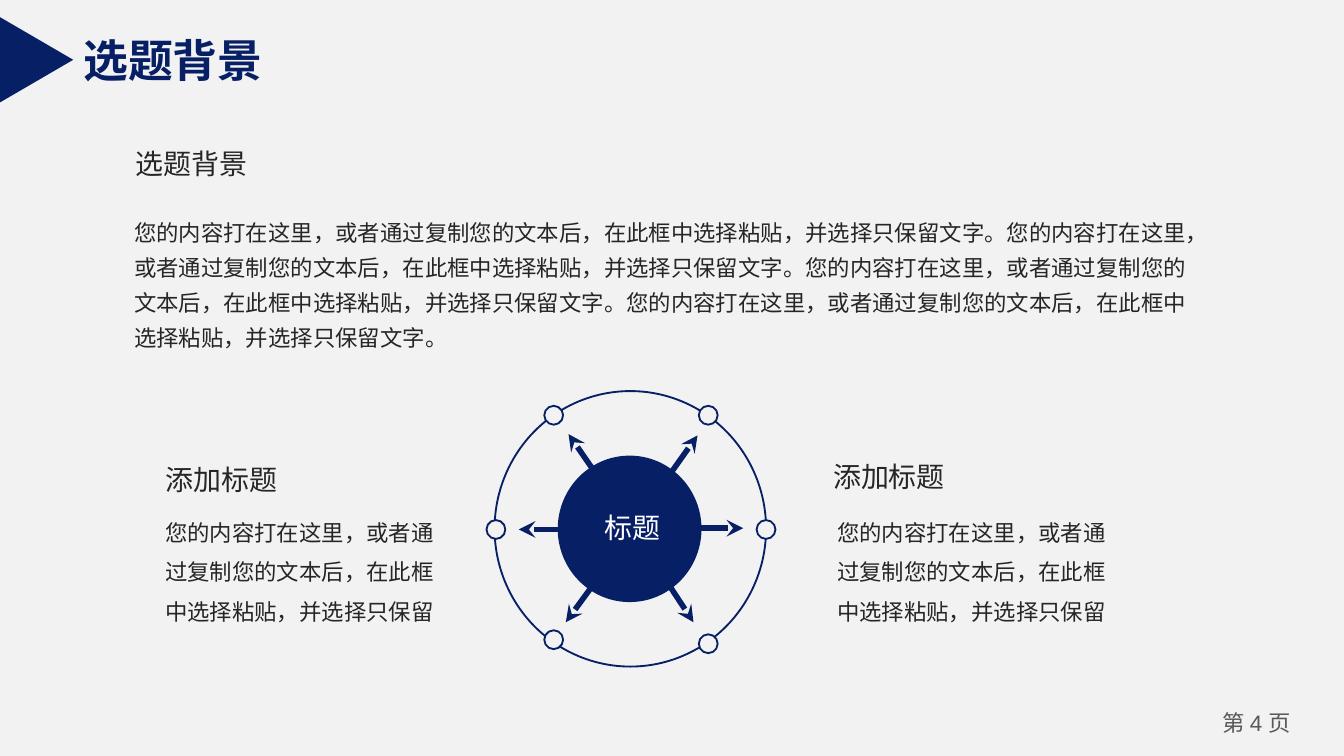
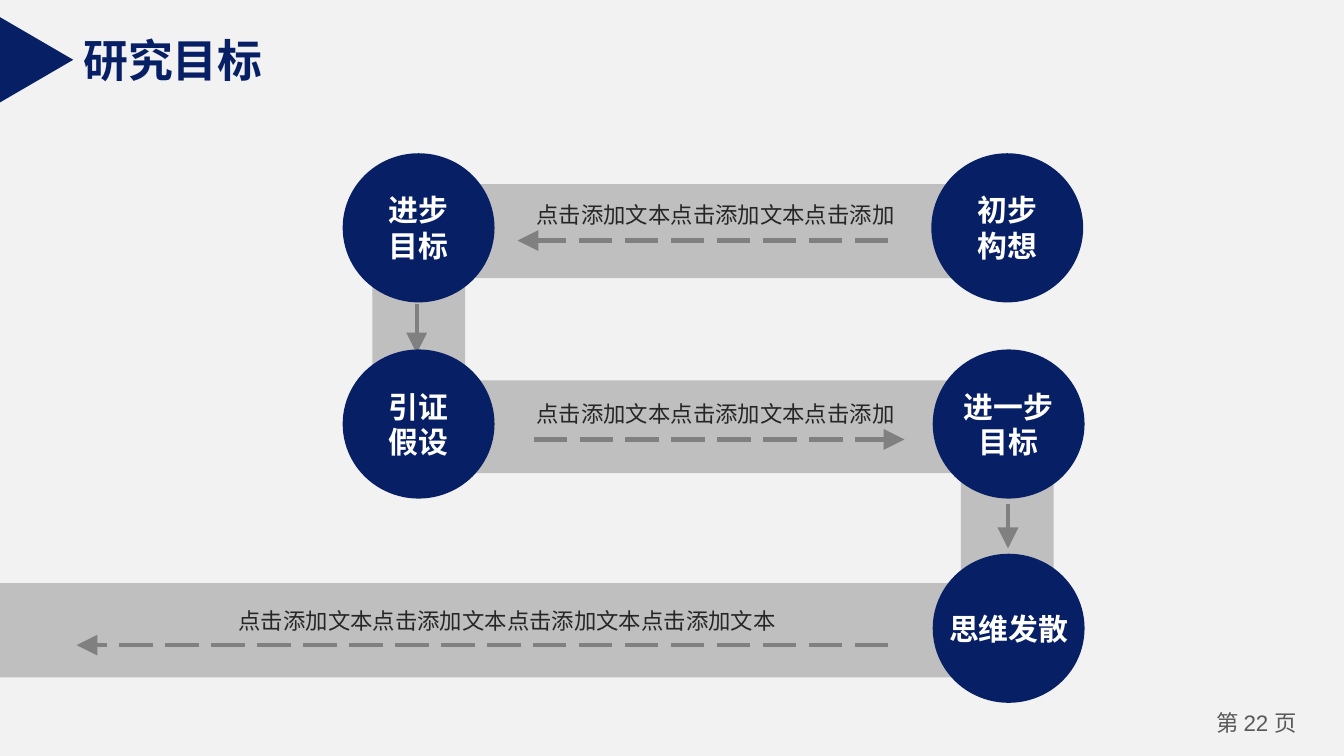
import dataclasses

import lxml.etree
import pptx
import pptx.dml.color
import pptx.enum.dml
import pptx.enum.shapes
import pptx.enum.text
import pptx.oxml.ns
import pptx.util

RGB = pptx.dml.color.RGBColor.from_string
PRESET = pptx.enum.shapes.MSO_SHAPE
ALIGN = pptx.enum.text.PP_ALIGN
ANCHOR = pptx.enum.text.MSO_ANCHOR
DASH = pptx.enum.dml.MSO_LINE
qn = pptx.oxml.ns.qn


@dataclasses.dataclass(frozen=True)
class Theme:
    paper: RGB = RGB("F2F2F2")
    navy: RGB = RGB("071F65")
    band: RGB = RGB("BFBFBF")
    arrow: RGB = RGB("808080")
    ink: RGB = RGB("262626")
    muted: RGB = RGB("595959")
    white: RGB = RGB("FFFFFF")
    chinese: str = "Noto Sans CJK SC"
    latin: str = "Arial"
    title: int = 24
    step: int = 16
    heading: int = 15
    body: int = 12


theme = Theme()

deck = pptx.Presentation()
deck.slide_width = pptx.util.Inches(10)
deck.slide_height = deck.slide_width * 9 // 16
COL = deck.slide_width / 100
ROW = deck.slide_height / 56.25
WIDE_MARGIN = (1, 0.5)
SLIM_MARGIN = (0.7, 0.4)


def write(text, *, on, at=None, size=theme.body, color=theme.ink, font=theme.chinese,
          bold=False, align=ALIGN.LEFT, anchor=ANCHOR.TOP, spacing=1.0, wrap=True,
          margin=WIDE_MARGIN):
    if at:
        left, top, width, height = at
        on = on.shapes.add_textbox(int(left * COL), int(top * ROW),
                                   int(width * COL), int(height * ROW))
    frame = on.text_frame
    frame.auto_size = pptx.enum.text.MSO_AUTO_SIZE.NONE
    frame.word_wrap = wrap
    frame.vertical_anchor = anchor
    frame.margin_left = frame.margin_right = int(margin[0] * COL)
    frame.margin_top = frame.margin_bottom = int(margin[1] * ROW)
    for index, line in enumerate(text.split("\n")):
        paragraph = frame.add_paragraph() if index else frame.paragraphs[0]
        paragraph.alignment = align
        paragraph.line_spacing = spacing
        run = paragraph.add_run()
        run.text = line
        run.font.size = pptx.util.Pt(size)
        run.font.bold = bold
        run.font.color.rgb = color
        run.font.name = font
        east_asian = lxml.etree.SubElement(run._r.get_or_add_rPr(), qn("a:ea"))
        east_asian.set("typeface", theme.chinese)


def draw(slide, preset, left, top, width, height, fill=None, line=None):
    shape = slide.shapes.add_shape(preset, int(left * COL), int(top * ROW),
                                   int(width * COL), int(height * ROW))
    shape.shadow.inherit = False
    if fill is None:
        shape.fill.background()
    else:
        shape.fill.solid()
        shape.fill.fore_color.rgb = fill
    if line is None:
        shape.line.fill.background()
    else:
        shape.line.color.rgb = line
        shape.line.width = pptx.util.Pt(1)
    return shape


master_fill = deck.slide_master.background.fill
master_fill.solid()
master_fill.fore_color.rgb = theme.paper

title_only = deck.slide_layouts[5]
slides = []
for heading, page, font in [("选题背景", 4, theme.chinese), ("研究目标", 22, theme.latin)]:
    slide = deck.slides.add_slide(title_only)
    slides.append(slide)
    title = slide.shapes.title
    title.left, title.top = int(5.2 * COL), int(1.9 * ROW)
    title.width, title.height = int(15.5 * COL), int(5 * ROW)
    write(heading, on=title, size=theme.title, color=theme.navy, font=font,
          bold=True, wrap=False)
    draw(slide, PRESET.ISOSCELES_TRIANGLE, -0.5, 1.7, 6.4, 5.5, theme.navy).rotation = 90
    write(f"第 {page} 页", on=slide, at=(89, 52.4, 9, 3), color=theme.muted,
          font=theme.latin, align=ALIGN.CENTER, margin=SLIM_MARGIN)
background, goals = slides

draw(background, PRESET.OVAL, 36.8, 29.1, 20.2, 20.5, line=theme.navy)
for left, top in [(52, 30.2), (40.5, 30.2), (36.2, 38.7),
                  (56.3, 38.7), (52, 47.2), (40.5, 46.9)]:
    draw(background, PRESET.OVAL, left, top, 1.4, 1.4, theme.paper, theme.navy)

for left, top, width, height in [(0, 43.4, 78.3, 7), (30.3, 28.3, 48, 6.9),
                                 (71.5, 31.6, 6.9, 19.1), (34.3, 13.7, 44.1, 7),
                                 (27.7, 13.7, 6.9, 21.5)]:
    draw(goals, PRESET.RECTANGLE, left, top, width, height, theme.band)

spokes = [(47, 39.3, 51.9, 32.4), (46.9, 39.3, 55.3, 39.3), (47, 39.1, 42.3, 32.3),
          (46.9, 39.4, 38.6, 39.4), (47, 39.6, 42.1, 46.3), (47.2, 39.6, 51.6, 46.3)]
routes = [(66.1, 48, 5.7, 48), (39.7, 32.7, 67.3, 32.7), (75, 37.5, 75, 40.8),
          (66.1, 17.9, 38.5, 17.9), (31, 22.6, 31, 26.3)]
for slide, arrows, color, weight, dash, head, head_size in [
        (background, spokes, theme.navy, 3, DASH.SOLID, "stealth", "med"),
        (goals, routes, theme.arrow, 2.25, DASH.LONG_DASH, "triangle", "lg")]:
    for from_x, from_y, to_x, to_y in arrows:
        arrow = slide.shapes.add_connector(
            pptx.enum.shapes.MSO_CONNECTOR.STRAIGHT,
            int(from_x * COL), int(from_y * ROW), int(to_x * COL), int(to_y * ROW))
        arrow.line.color.rgb = color
        arrow.line.width = pptx.util.Pt(weight)
        arrow.line.dash_style = dash
        properties = arrow.element.spPr
        lxml.etree.SubElement(properties.find(qn("a:ln")), qn("a:tailEnd"),
                              type=head, w=head_size, len=head_size)
        lxml.etree.SubElement(properties, qn("a:effectLst"))

draw(background, PRESET.OVAL, 41.5, 33.9, 10.7, 10.9, theme.navy)
write("标题", on=background, at=(44, 37.5, 6.9, 3.5), size=theme.heading,
      color=theme.white, wrap=False)

clause = "您的内容打在这里，或者通过复制您的文本后，在此框中选择粘贴，并选择只保留"
write("选题背景", on=background, at=(9.1, 10.4, 10.4, 3.5), size=theme.heading, wrap=False)
write((clause + "文字。") * 4, on=background, at=(9, 15.2, 81.6, 14.1), spacing=1.3)
for heading_left, heading_top, body_left in [(61, 33.7, 61.3), (11.3, 33.9, 11.3)]:
    write("添加标题", on=background, at=(heading_left, heading_top, 10.4, 3.5),
          size=theme.heading, wrap=False)
    write(clause, on=background, at=(body_left, 37.2, 22.5, 9.8),
          spacing=pptx.util.Pt(21.1))

for step, left, top in [("初步\n构想", 69.3, 11.4), ("进步\n目标", 25.5, 11.4),
                        ("引证\n假设", 25.5, 26), ("进一步\n目标", 69.4, 26),
                        ("思维发散", 69.4, 41.2)]:
    circle = draw(goals, PRESET.OVAL, left, top, 11.3, 11.1, theme.navy)
    write(step, on=circle, size=theme.step, color=theme.white, font=theme.latin, bold=True,
          align=ALIGN.CENTER, anchor=ANCHOR.MIDDLE, wrap=False, margin=SLIM_MARGIN)

for caption, left, top, width in [("点击添加文本点击添加文本点击添加", 38.7, 14.6, 29.1),
                                  ("点击添加文本点击添加文本点击添加", 38.7, 29.4, 29.1),
                                  ("点击添加文本" * 4, 9.5, 44.8, 56.5)]:
    write(caption, on=goals, at=(left, top, width, 2.8), align=ALIGN.CENTER,
          anchor=ANCHOR.MIDDLE, margin=SLIM_MARGIN)

deck.save("out.pptx")
